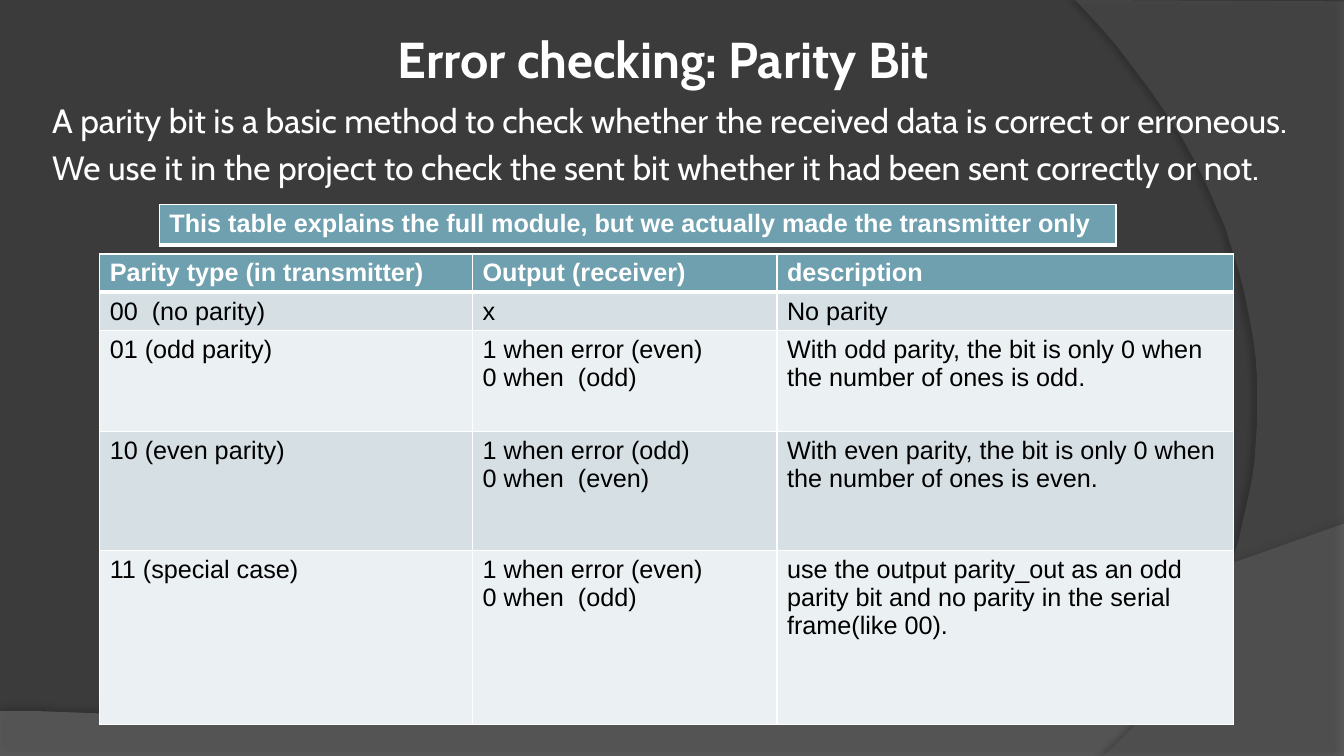
from lxml import etree
from pptx import Presentation
from pptx.dml.color import RGBColor
from pptx.enum import text
from pptx.oxml import ns
from pptx.util import Pt

WHITE, BLACK, TEAL = "FFFFFF", "000000", "6EA0B0"
BANDS = ["D5DFE4", "EBF0F2"]


def rgb(value):
    return RGBColor.from_string(value)


def add_xml(parent, tag, **attrs):
    return etree.SubElement(parent, ns.qn(tag), attrs)


def bezier(p0, p1, p2, p3, steps=40):
    """Points along a cubic curve, without its start."""
    curve = []
    for i in range(1, steps + 1):
        t = i / steps
        weights = (1 - t) ** 3, 3 * t * (1 - t) ** 2, 3 * t * t * (1 - t), t ** 3
        curve.append(tuple(sum(w * p[axis] for w, p in zip(weights, (p0, p1, p2, p3)))
                           for axis in (0, 1)))
    return curve


class SlideBuilder:
    heading_font, table_font = "Cabin", "Arial"

    def __init__(self, s):
        self.s = s
        self.backdrop_count = 0

    def background(self, color):
        fill = self.s.background.fill
        fill.solid()
        fill.fore_color.rgb = rgb(color)

    def style(self, p, font, size, color, bold=False):
        p.font.name, p.font.size, p.font.bold = font, Pt(size), bold
        p.font.color.rgb = rgb(color)

    def backdrop(self, points, color, opacity, shadow_opacity, distance, angle):
        """Translucent outline with a soft shadow, behind everything else."""
        builder = self.s.shapes.build_freeform(*points[0], scale=Pt(1))
        builder.add_line_segments(points[1:], close=True)
        sp = builder.convert_to_shape()
        sp.fill.solid()
        sp.fill.fore_color.rgb = rgb(color)
        sp.line.fill.background()
        clr = sp.fill._xPr.find(".//" + ns.qn("a:srgbClr"))
        add_xml(clr, "a:alpha", val=str(opacity * 1000))
        sp.shadow.inherit = False
        effects = sp._element.spPr.find(ns.qn("a:effectLst"))
        shadow = add_xml(effects, "a:outerShdw", blurRad=str(Pt(4)), dist=str(Pt(distance)),
                         dir=str(angle * 60000), algn="ctr", rotWithShape="0")
        clr = add_xml(shadow, "a:srgbClr", val=BLACK)
        add_xml(clr, "a:alpha", val=str(shadow_opacity * 1000))
        self.s.shapes._spTree.insert(2 + self.backdrop_count, sp._element)
        self.backdrop_count += 1

    def placeholder(self, sp, box, anchor):
        sp.left, sp.top, sp.width, sp.height = map(Pt, box)
        tf = sp.text_frame
        tf.word_wrap, tf.auto_size = True, text.MSO_AUTO_SIZE.NONE
        tf.vertical_anchor = anchor
        return tf

    def title(self, words, box):
        tf = self.placeholder(self.s.shapes.title, box, text.MSO_ANCHOR.BOTTOM)
        tf.margin_left = tf.margin_right = tf.margin_top = tf.margin_bottom = Pt(3.6)
        p = tf.paragraphs[0]
        p.text, p.alignment = words, text.PP_ALIGN.CENTER
        self.style(p, self.heading_font, 36, WHITE, True)

    def body(self, lines, box):
        tf = self.placeholder(self.s.placeholders[1], box, text.MSO_ANCHOR.TOP)
        for i, line in enumerate(lines):
            p = tf.add_paragraph() if i else tf.paragraphs[0]
            p.text = line
            p.space_before = Pt(4.8 if i else 0)
            pPr = p._p.get_or_add_pPr()
            pPr.set("marL", "0")
            pPr.set("indent", "0")
            add_xml(pPr, "a:buNone")
            self.style(p, self.heading_font, 24, WHITE)

    def borders(self, cell, top, bottom):
        tcPr = cell._tc.get_or_add_tcPr()
        for i, (side, width) in enumerate(zip("LRTB", (1, 1, top, bottom))):
            ln = etree.Element(ns.qn("a:ln" + side), w=str(Pt(width)))
            add_xml(add_xml(ln, "a:solidFill"), "a:srgbClr", val=WHITE)
            tcPr.insert(i, ln)

    def table(self, rows, left, top, widths, heights):
        """Table whose first row is a header with a thick rule below it."""
        frame = self.s.shapes.add_table(len(rows), len(widths), Pt(left), Pt(top),
                                        Pt(sum(widths)), Pt(sum(heights)))
        tbl = frame.table
        tbl.horz_banding = False
        for column, width in zip(tbl.columns, widths):
            column.width = Pt(width)
        for r, (row, height) in enumerate(zip(rows, heights)):
            tbl.rows[r].height = Pt(height)
            header = r == 0
            for c, words in enumerate(row):
                cell = tbl.cell(r, c)
                cell.fill.solid()
                cell.fill.fore_color.rgb = rgb(TEAL if header else BANDS[(r - 1) % 2])
                self.borders(cell, 3 if r == 1 else 1, 3 if header else 1)
                p = cell.text_frame.paragraphs[0]
                p.text = words.replace("\n", "\v")
                self.style(p, self.table_font, 18, WHITE if header else BLACK, header)


def main():
    prs = Presentation()
    prs.slide_width, prs.slide_height = Pt(960), Pt(540)
    slide = SlideBuilder(prs.slides.add_slide(prs.slide_layouts[1]))

    # Background with two sweeping bands
    slide.background("3B3B3B")
    wave = [(0, 507.6), (0, 540), (960, 540), (960, 374.4)]
    wave += bezier(wave[-1], (536.4, 524.9), (375.1, 517.7), wave[0])
    slide.backdrop(wave, "7F7F7F", 45, 35, 3.5, 270)
    arc = [(960, 1.4), (960, 540), (788.4, 540)]
    arc += bezier(arc[-1], (897.1, 445.7), (977, 216), (768.2, 0))
    slide.backdrop(arc, "5E5E5E", 40, 45, 4, 180)

    # Title and introduction
    slide.title("Error checking: Parity Bit", (113.8, -23, 720, 90))
    slide.body([
        "A parity bit is a basic method to check whether the received data is correct or erroneous.",
        "We use it in the project to check the sent bit whether it had been sent correctly or not.",
    ], (30, 67.7, 930, 66.2))

    # Parity modes
    slide.table([
        ["Parity type (in transmitter)", "Output (receiver)", "description"],
        ["00  (no parity)", "x", "No parity"],
        ["01 (odd parity)", "1 when error (even)\n0 when  (odd)",
         "With odd parity, the bit is only 0 when the number of ones is odd."],
        ["10 (even parity)", "1 when error (odd)\n0 when  (even)",
         "With even parity, the bit is only 0 when the number of ones is even."],
        ["11 (special case)", "1 when error (even)\n0 when  (odd)",
         "use the output parity_out as an odd parity bit and no parity in the serial "
         "frame(like 00)."],
    ], 71.2, 181.4, [266.4, 217.4, 326.2], [27.4, 27.4, 72, 85, 124.6])

    # Note above the table
    slide.table([["This table explains the full module, but we actually made the "
                  "transmitter only"]], 113.8, 146.2, [683.3], [29])

    prs.save("out.pptx")


if __name__ == "__main__":
    main()
